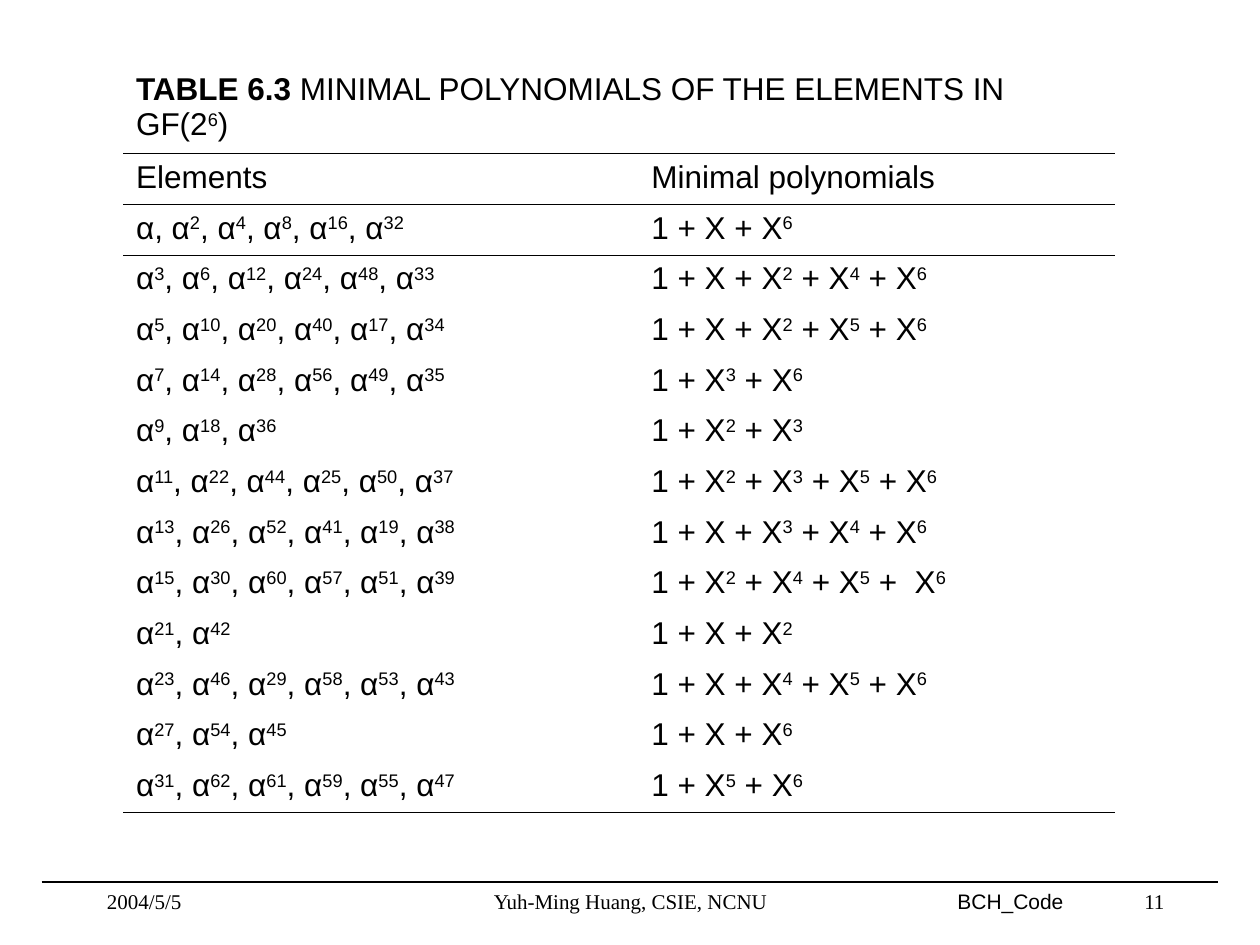
from itertools import takewhile

from lxml.etree import SubElement
from pptx import Presentation
from pptx.dml.color import RGBColor
from pptx.enum.shapes import MSO_CONNECTOR
from pptx.enum.text import PP_ALIGN
from pptx.oxml import parse_xml
from pptx.oxml.ns import nsdecls, qn
from pptx.util import Inches, Pt

THEME = {
    "ink": "000000",
    "sans": "Arial",
    "serif": "Times New Roman",
    "body": 18,
    "foot": 12,
    "rule": 0.45,
    "line": 0.75,
}
PLAIN_STYLE = "{2D5ABB26-0587-4C30-8999-92F81FD0307C}"  # no style, no grid

# A caret lifts the digits after it.
LABEL = "TABLE 6.3"
TITLE = " MINIMAL POLYNOMIALS OF THE ELEMENTS IN GF(2^6)"
ROWS = [
    ("Elements", "Minimal polynomials"),
    ("α, α^2, α^4, α^8, α^16, α^32", "1 + X + X^6"),
    ("α^3, α^6, α^12, α^24, α^48, α^33", "1 + X + X^2 + X^4 + X^6"),
    ("α^5, α^10, α^20, α^40, α^17, α^34", "1 + X + X^2 + X^5 + X^6"),
    ("α^7, α^14, α^28, α^56, α^49, α^35", "1 + X^3 + X^6"),
    ("α^9, α^18, α^36", "1 + X^2 + X^3"),
    ("α^11, α^22, α^44, α^25, α^50, α^37", "1 + X^2 + X^3 + X^5 + X^6"),
    ("α^13, α^26, α^52, α^41, α^19, α^38", "1 + X + X^3 + X^4 + X^6"),
    ("α^15, α^30, α^60, α^57, α^51, α^39", "1 + X^2 + X^4 + X^5 +  X^6"),
    ("α^21, α^42", "1 + X + X^2"),
    ("α^23, α^46, α^29, α^58, α^53, α^43", "1 + X + X^4 + X^5 + X^6"),
    ("α^27, α^54, α^45", "1 + X + X^6"),
    ("α^31, α^62, α^61, α^59, α^55, α^47", "1 + X^5 + X^6"),
]
COLS = (4.09, 3.78)
LEFT, TOP, HEAD, BODY = 0.98, 0.52, 0.7, 5.23

# text, left, width, height, font, alignment
FOOT_TOP = 7
FOOTER = [
    ("BCH_Code", 7.5, 2.08, 0.3, "sans", PP_ALIGN.LEFT),
    ("2004/5/5", 0.75, 2.08, 0.33, "serif", PP_ALIGN.LEFT),
    ("Yuh-Ming Huang, CSIE, NCNU", 2.92, 4.17, 0.33, "serif", PP_ALIGN.CENTER),
    ("11", 7.42, 1.92, 0.33, "serif", PP_ALIGN.RIGHT),
]


def pieces(text):
    """Split marked text into (string, raised) pairs."""
    first, *rest = text.split("^")
    yield first, False
    for part in rest:
        power = "".join(takewhile(str.isdigit, part))
        yield power, True
        yield part[len(power):], False


def write(para, text, face="sans", size="body", bold=False, align=PP_ALIGN.LEFT):
    para.alignment = align
    for words, raised in pieces(text):
        if not words:
            continue
        run = para.add_run()
        run.text = words
        font = run.font
        font.name, font.size, font.bold = THEME[face], Pt(THEME[size]), bold
        font.color.rgb = RGBColor.from_string(THEME["ink"])
        if raised:
            run._r.get_or_add_rPr().set("baseline", "30000")


def border(cell, tag):
    """Rule one side of a cell; tag is lnT or lnB."""
    side = parse_xml(
        f'<a:{tag} {nsdecls("a")} w="{Pt(THEME["rule"])}"><a:solidFill>'
        f'<a:srgbClr val="{THEME["ink"]}"/></a:solidFill></a:{tag}>'
    )
    cell._tc.get_or_add_tcPr().insert(0, side)


def add_grid(slide):
    last = len(ROWS)
    frame = slide.shapes.add_table(
        last + 1, len(COLS), Inches(LEFT), Inches(TOP),
        Inches(sum(COLS)), Inches(HEAD + BODY),
    )
    table = frame.table
    table.first_row = table.horz_banding = False
    table._tbl.tblPr.find(qn("a:tableStyleId")).text = PLAIN_STYLE
    for col, width in zip(table.columns, COLS):
        col.width = Inches(width)
    for i, row in enumerate(table.rows):
        row.height = Inches(BODY / last if i else HEAD)
        for cell in row.cells:
            cell.fill.background()
            if i in (0, 1, last):
                border(cell, "lnB")
            if i in (1, 2):
                border(cell, "lnT")

    title = table.cell(0, 0)
    title.merge(table.cell(0, 1))
    para = title.text_frame.paragraphs[0]
    write(para, LABEL, bold=True)
    write(para, TITLE)
    for i, texts in enumerate(ROWS, 1):
        for j, text in enumerate(texts):
            write(table.cell(i, j).text_frame.paragraphs[0], text)


def add_footer(slide):
    rule = slide.shapes.add_connector(
        MSO_CONNECTOR.STRAIGHT,
        Inches(0.33), Inches(FOOT_TOP), Inches(9.67), Inches(FOOT_TOP),
    )
    rule.line.color.rgb = RGBColor.from_string(THEME["ink"])
    rule.line.width = Pt(THEME["line"])
    SubElement(rule._element.spPr, qn("a:effectLst"))
    for text, left, width, height, face, align in FOOTER:
        box = slide.shapes.add_textbox(
            Inches(left), Inches(FOOT_TOP), Inches(width), Inches(height)
        )
        box.text_frame.word_wrap = True
        write(box.text_frame.paragraphs[0], text, face=face, size="foot", align=align)


def main():
    deck = Presentation()
    deck.slide_width, deck.slide_height = Inches(10), Inches(7.5)
    slide = deck.slides.add_slide(deck.slide_layouts[6])
    add_footer(slide)
    add_grid(slide)
    deck.save("out.pptx")


if __name__ == "__main__":
    main()
